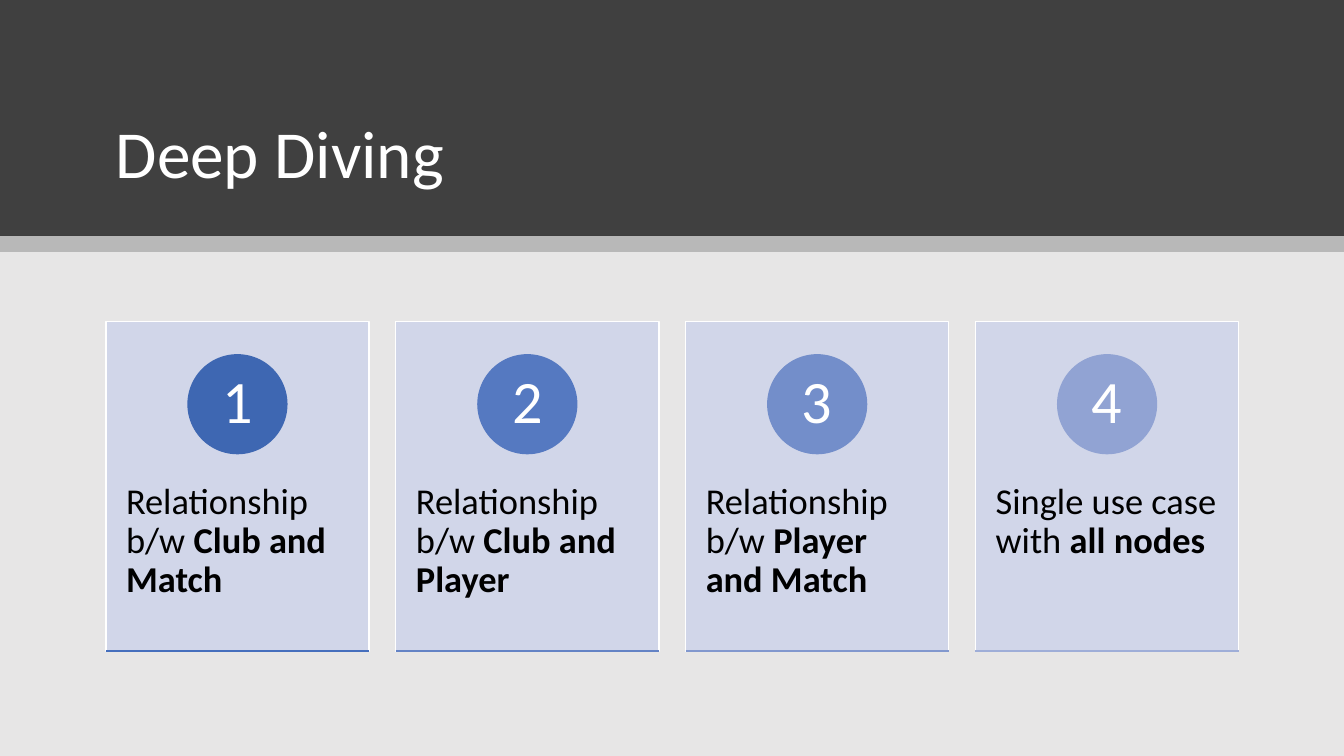
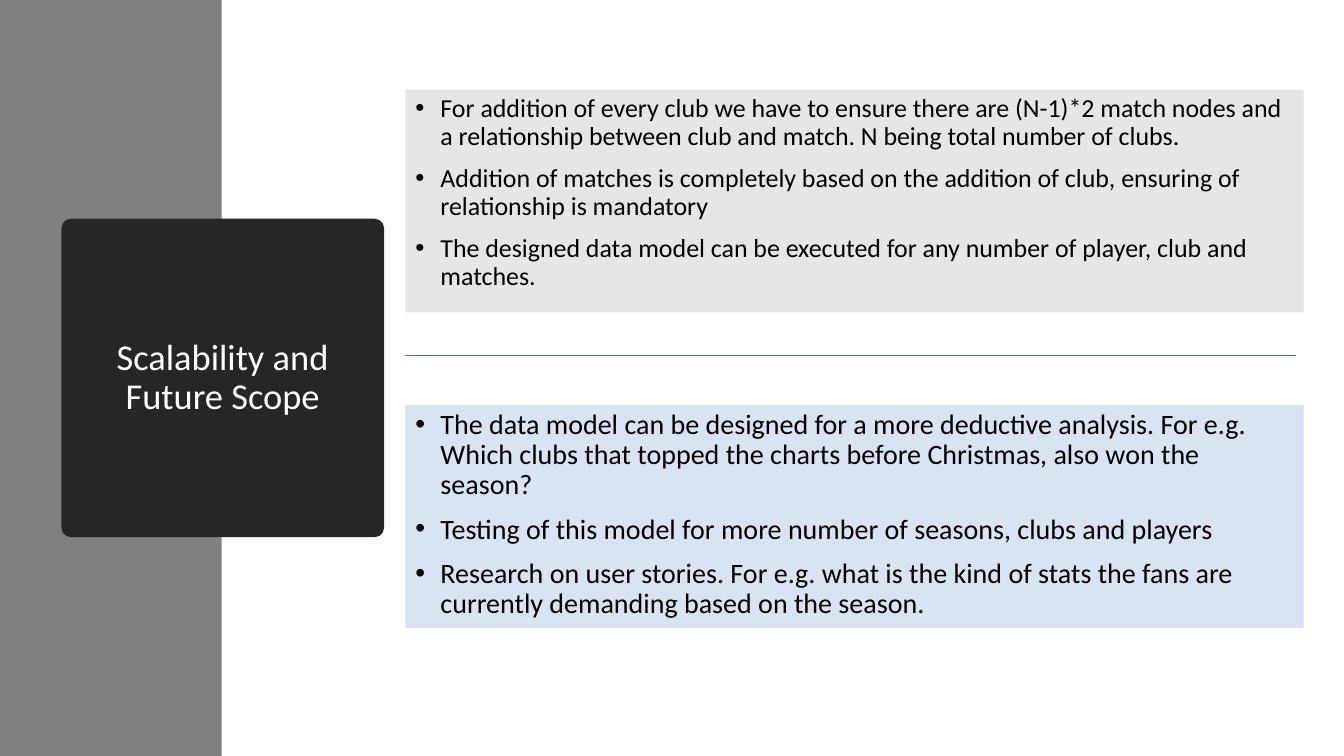
from lxml import etree
from pptx import Presentation
from pptx.dml.color import RGBColor
from pptx.enum.shapes import MSO_CONNECTOR, MSO_SHAPE
from pptx.enum.text import MSO_ANCHOR, PP_ALIGN
from pptx.oxml.ns import qn
from pptx.util import Inches, Pt

RECT, ROUND, OVAL = MSO_SHAPE.RECTANGLE, MSO_SHAPE.ROUNDED_RECTANGLE, MSO_SHAPE.OVAL
LINE = MSO_CONNECTOR.STRAIGHT
LEFT, CENTER = PP_ALIGN.LEFT, PP_ALIGN.CENTER
TOP, MIDDLE, BOTTOM = MSO_ANCHOR.TOP, MSO_ANCHOR.MIDDLE, MSO_ANCHOR.BOTTOM

# Shared style
FONT = "Calibri"
WHITE, BLACK, PALE = "FFFFFF", "000000", "E7E6E6"
DARK, INK, GRAY = "404040", "262626", "808080"
CARD, SKY, BLUE = "CFD5EA", "DAE3F3", "4472C4"
WIDE, HIGH = 13.33, 7.5
INSET = (0.1, 0.05)


def color(code):
    return RGBColor.from_string(code)


def write(shape, paras, size=20, ink=BLACK, align=LEFT, anchor=TOP,
          inset=INSET, before=0, bullet=False):
    """Each paragraph is a list of (text, bold) runs."""
    frame = shape.text_frame
    frame.word_wrap = True
    frame.vertical_anchor = anchor
    frame.margin_left = frame.margin_right = Inches(inset[0])
    frame.margin_top = frame.margin_bottom = Inches(inset[1])
    for i, runs in enumerate(paras):
        para = frame.add_paragraph() if i else frame.paragraphs[0]
        para.alignment = align
        para.line_spacing = 0.9
        para.space_before = Pt(before)
        for text, bold in runs:
            run = para.add_run()
            run.text = text
            font = run.font
            font.name, font.size, font.bold = FONT, Pt(size), bold
            font.color.rgb = color(ink)
        if bullet:
            props = para._p.get_or_add_pPr()
            props.set("marL", str(Inches(0.25)))
            props.set("indent", str(-Inches(0.25)))
            etree.SubElement(props, qn("a:buFont")).set("typeface", "Arial")
            etree.SubElement(props, qn("a:buChar")).set("char", "•")


class Deck:
    def __init__(self):
        self.prs = Presentation()
        self.prs.slide_width = Inches(WIDE)
        self.prs.slide_height = Inches(HIGH)
        self.slide = None

    def page(self):
        self.slide = self.prs.slides.add_slide(self.prs.slide_layouts[6])

    def shape(self, x, y, w, h, fill, kind=RECT, line=None, alpha=None):
        item = self.slide.shapes.add_shape(
            kind, Inches(x), Inches(y), Inches(w), Inches(h))
        item.shadow.inherit = False
        item.fill.solid()
        item.fill.fore_color.rgb = color(fill)
        if alpha:
            tint = item._element.spPr.find(qn("a:solidFill"))[0]
            etree.SubElement(tint, qn("a:alpha")).set("val", str(alpha * 1000))
        if line:
            item.line.color.rgb = color(line)
            item.line.width = Pt(1)
        else:
            item.line.fill.background()
        return item

    def text(self, x, y, w, h, paras, **style):
        box = self.slide.shapes.add_textbox(
            Inches(x), Inches(y), Inches(w), Inches(h))
        write(box, paras, **style)

    def rule(self, x, y, w, ink, width):
        item = self.slide.shapes.add_connector(
            LINE, Inches(x), Inches(y), Inches(x + w), Inches(y))
        item.line.color.rgb = color(ink)
        item.line.width = Pt(width)
        etree.SubElement(item._element.spPr, qn("a:effectLst"))

    def card(self, x, num, lead, key, dot, edge):
        w, y, h, d = 2.61, 3.19, 3.27, 0.98
        self.shape(x, y, w, h, CARD, line=WHITE, alpha=90)
        self.text(x, 4.43, w, 1.96, [[(lead, False), (key, True)]],
                  size=26, inset=(0.2, 0.36))
        disc = self.shape(x + (w - d) / 2, 3.52, d, d, dot, OVAL, line=dot)
        write(disc, [[(str(num), False)]], size=43, ink=WHITE,
              align=CENTER, anchor=MIDDLE, inset=(0, 0))
        self.rule(x, y + h, w, edge, 1)

    def panel(self, y, fill, size, lines):
        box = self.shape(4.02, y, 8.91, 2.21, fill)
        write(box, [[(line, False)] for line in lines], size=size,
              before=10, bullet=True)


deck = Deck()

# Slide 1: header band and four numbered cards
deck.page()
deck.shape(0, 0, WIDE, HIGH, PALE)
deck.shape(0, 0, WIDE, 2.34, DARK)
deck.shape(0, 2.34, WIDE, 0.16, BLACK, alpha=20)
deck.text(1.05, 0.47, 11.24, 1.49, [[("Deep Diving", False)]],
          size=48, ink=WHITE, anchor=BOTTOM)
CARDS = [
    ("Relationship b/w ", "Club and Match", "3E67B2", "466FBD"),
    ("Relationship b/w ", "Club and Player", "5579C1", "6483C5"),
    ("Relationship b/w ", "Player and Match", "738ECA", "8298CE"),
    ("Single use case with ", "all nodes", "91A3D3", "9FAED8"),
]
for i, part in enumerate(CARDS):
    deck.card(1.05 + i * 2.875, i + 1, *part)

# Slide 2: side band, title block and two bullet panels
deck.page()
deck.shape(0, 0, 2.2, HIGH, GRAY)
block = deck.shape(0.61, 2.17, 3.2, 3.16, INK, ROUND)
block.adjustments[0] = 0.03
write(block, [[("Scalability and Future Scope", False)]], size=26, ink=WHITE,
      align=CENTER, anchor=MIDDLE, inset=(0.4, 0.05))
deck.panel(0.89, PALE, 18.5, [
    "For addition of every club we have to ensure there are (N-1)*2 match "
    "nodes and a relationship between club and match. N being total number "
    "of clubs.",
    "Addition of matches is completely based on the addition of club, "
    "ensuring of relationship is mandatory",
    "The designed data model can be executed for any number of player, club "
    "and matches.",
])
deck.panel(4.02, SKY, 20, [
    "The data model can be designed for a more deductive analysis. For e.g. "
    "Which clubs that topped the charts before Christmas, also won the season?",
    "Testing of this model for more number of seasons, clubs and players",
    "Research on user stories. For e.g. what is the kind of stats the fans "
    "are currently demanding based on the season.",
])
deck.rule(4.02, 3.53, 8.83, BLUE, 0.5)

deck.prs.save("out.pptx")
